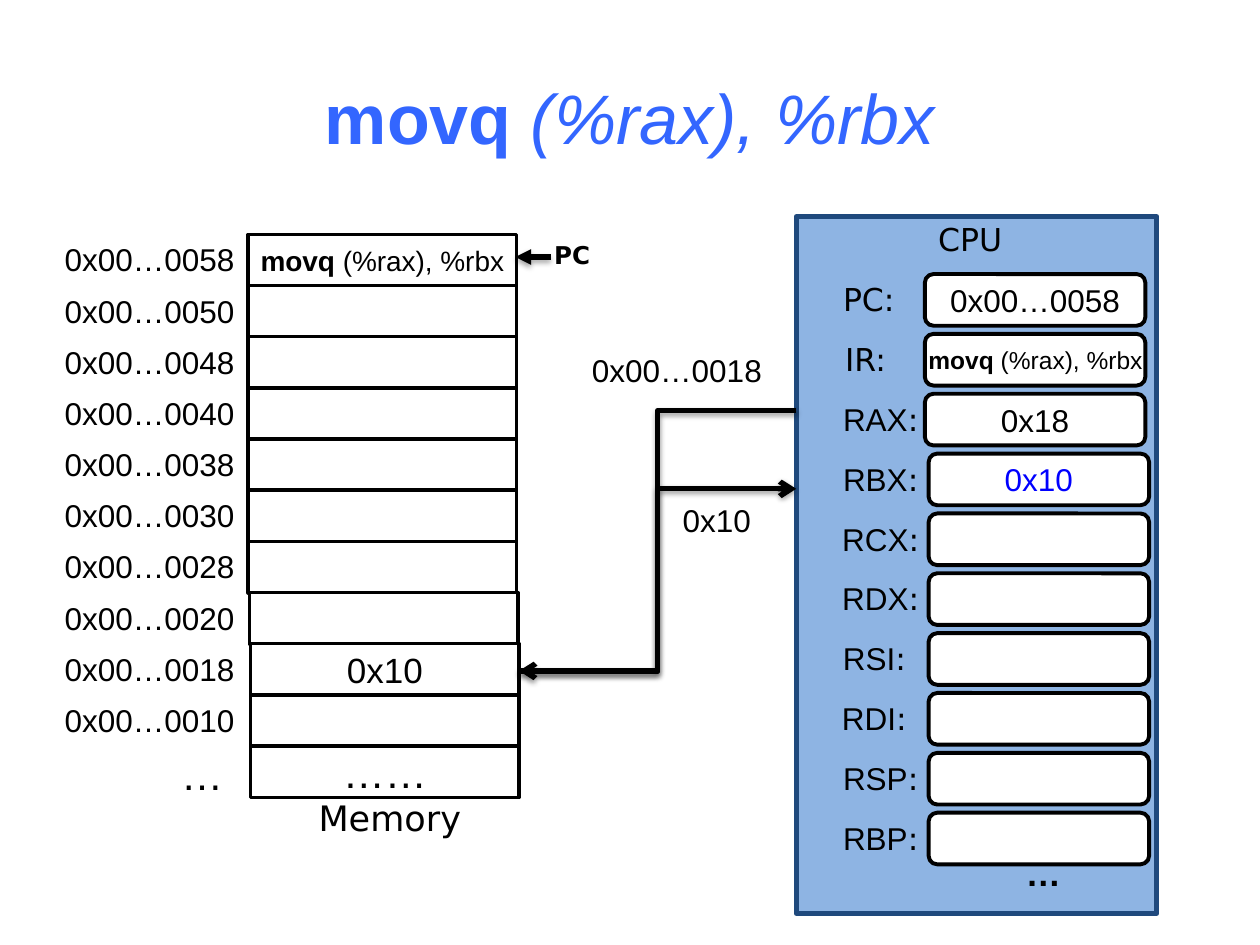
from dataclasses import dataclass

from lxml.etree import SubElement
from pptx import Presentation
from pptx.dml.color import RGBColor
from pptx.enum.shapes import MSO_CONNECTOR, MSO_SHAPE
from pptx.enum.text import MSO_ANCHOR, MSO_AUTO_SIZE, PP_ALIGN
from pptx.oxml.ns import qn
from pptx.util import Inches, Pt

COLORS = {
    "title": "3366FF",
    "ink": "000000",
    "changed": "0000FF",
    "cell": "FFFFFF",
    "cpu": "8EB4E3",
    "cpu_edge": "1F497D",
}
SLIDE_WIDTH, SLIDE_HEIGHT = Inches(10), Inches(7.5)
COLUMN, ROW = SLIDE_WIDTH / 100, SLIDE_HEIGHT / 75
MEMORY_TOP, MEMORY_PITCH = 18.6, 4.06
REGISTER_TOP, REGISTER_PITCH = 21.75, 4.75
CELL_HEIGHT = 4.1
LABEL_HEIGHT = 4
LEFT, CENTER, RIGHT = PP_ALIGN.LEFT, PP_ALIGN.CENTER, PP_ALIGN.RIGHT


@dataclass(frozen=True)
class Area:
    left: float
    top: float
    width: float
    height: float

    def emu(self) -> tuple[int, int, int, int]:
        return (round(self.left * COLUMN), round(self.top * ROW),
                round(self.width * COLUMN), round(self.height * ROW))


@dataclass(frozen=True)
class Words:
    text: str
    size: float = 18
    face: str = "Arial"
    bold: bool = False
    italic: bool = False
    color: str = "ink"


@dataclass(frozen=True)
class Register:
    label: tuple[Words, ...]
    label_width: float
    box_left: float = 73.7
    value: tuple[Words, ...] = ()


@dataclass(frozen=True)
class Wire:
    kind: MSO_CONNECTOR
    start: tuple[float, float]
    finish: tuple[float, float]
    arrow_end: str
    arrow: str
    opacity: int
    distance: float


def rgb(name: str) -> RGBColor:
    return RGBColor.from_string(COLORS[name])


def write(frame, words: tuple[Words, ...], align: PP_ALIGN, layout: dict) -> None:
    for attribute, value in layout.items():
        setattr(frame, attribute, value)
    paragraph = frame.paragraphs[0]
    paragraph.alignment = align
    for part in words:
        run = paragraph.add_run()
        run.text = part.text
        style = {"size": Pt(part.size), "name": part.face,
                 "bold": part.bold, "italic": part.italic}
        for attribute, value in style.items():
            setattr(run.font, attribute, value)
        run.font.color.rgb = rgb(part.color)


def draw_label(slide, area: Area, *words: Words, align: PP_ALIGN = LEFT) -> None:
    frame = slide.shapes.add_textbox(*area.emu()).text_frame
    write(frame, words, align, {"word_wrap": False,
                                "auto_size": MSO_AUTO_SIZE.SHAPE_TO_FIT_TEXT})


def draw_cell(slide, area: Area, words: tuple[Words, ...] = (), shape=MSO_SHAPE.RECTANGLE,
              weight: float = 2, fill: str = "cell", edge: str = "ink") -> None:
    cell = slide.shapes.add_shape(shape, *area.emu())
    cell.shadow.inherit = False
    cell.fill.solid()
    cell.fill.fore_color.rgb = rgb(fill)
    cell.line.color.rgb = rgb(edge)
    cell.line.width = Pt(weight)
    if words:
        write(cell.text_frame, words, CENTER,
              {"word_wrap": False, "vertical_anchor": MSO_ANCHOR.MIDDLE})


def draw_wire(slide, wire: Wire) -> None:
    (x1, y1), (x2, y2) = wire.start, wire.finish
    connector = slide.shapes.add_connector(
        wire.kind, round(x1 * COLUMN), round(y1 * ROW), round(x2 * COLUMN), round(y2 * ROW))
    connector.line.color.rgb = rgb("ink")
    connector.line.width = Pt(3)
    properties = connector._element.spPr
    SubElement(properties.find(qn("a:ln")), qn(f"a:{wire.arrow_end}"), type=wire.arrow)
    effects = SubElement(properties, qn("a:effectLst"))
    shadow = SubElement(effects, qn("a:outerShdw"), blurRad=str(Pt(3.1)),
                        dist=str(Pt(wire.distance)), dir="5400000", rotWithShape="0")
    tint = SubElement(shadow, qn("a:srgbClr"), val=COLORS["ink"])
    SubElement(tint, qn("a:alpha"), val=str(wire.opacity * 1000))


def instruction(size: float) -> tuple[Words, ...]:
    return Words("movq", size, bold=True), Words(" (%rax), %rbx", size)


def general(name: str, width: float = 8.4, **details) -> Register:
    return Register((Words(name), Words(":", face="DejaVu Sans")), width, **details)


def special(name: str, width: float, **details) -> Register:
    return Register((Words(name, face="DejaVu Sans"),), width, box_left=73.4, **details)


ADDRESSES = [f"0x00…00{value:02x}" for value in range(0x58, 0x08, -8)]
CONTENTS = {0: instruction(16), 8: (Words("0x10", 20),), 10: (Words("……", 24),)}
REGISTERS = [
    special("PC:", 6.5, value=(Words("0x00…0058"),)),
    special("IR:", 6),
    general("RAX", box_left=73.4, value=(Words("0x18"),)),
    general("RBX", value=(Words("0x10", color="changed"),)),
    general("RCX"),
    general("RDX"),
    general("RSI", 7.4),
    general("RDI", 7.4),
    general("RSP"),
    general("RBP"),
]
WIRES = [
    Wire(MSO_CONNECTOR.ELBOW, (63.2, 32.6), (41.2, 53.25), "tailEnd", "arrow", 38, 1.6),
    Wire(MSO_CONNECTOR.ELBOW, (63.2, 38.8), (41.2, 53.25), "headEnd", "arrow", 38, 1.6),
    Wire(MSO_CONNECTOR.STRAIGHT, (43.7, 20.4), (40.9, 20.4), "tailEnd", "triangle", 35, 1.8),
]


def draw_memory(slide) -> None:
    for index in range(len(ADDRESSES) + 1):
        top = MEMORY_TOP + index * MEMORY_PITCH
        left = 19.7 + 0.1 * min(max(index - 6, 0), 2)
        draw_cell(slide, Area(left, top, 21.3, CELL_HEIGHT), CONTENTS.get(index, ()))
    for index, address in enumerate(ADDRESSES):
        top = MEMORY_TOP + index * MEMORY_PITCH
        draw_label(slide, Area(4, top, 15.6, LABEL_HEIGHT), Words(address), align=RIGHT)
    draw_label(slide, Area(13.3, 58.9, 5.4, 5), Words("…", 24), align=RIGHT)
    draw_label(slide, Area(24.3, 62.7, 13.3, 4.4), Words("Memory", 20, "DejaVu Sans"))


def draw_cpu(slide) -> None:
    draw_cell(slide, Area(63.2, 17.2, 28.6, 55.3), weight=3, fill="cpu", edge="cpu_edge")
    draw_label(slide, Area(73.4, 17, 7.2, LABEL_HEIGHT),
               Words("CPU", face="DejaVu Sans"), align=CENTER)
    for index, register in enumerate(REGISTERS):
        top = REGISTER_TOP + index * REGISTER_PITCH
        draw_label(slide, Area(65.7, top, register.label_width, LABEL_HEIGHT),
                   *register.label, align=CENTER)
        draw_cell(slide, Area(register.box_left, top, 17.5, CELL_HEIGHT),
                  register.value, MSO_SHAPE.ROUNDED_RECTANGLE, 2.25)
    draw_label(slide, Area(72.7, 26.9, 19.1, 3.4), *instruction(14))
    draw_label(slide, Area(80.4, 67.1, 4.8, 4.4), Words("…", 20, bold=True), align=CENTER)


def main() -> None:
    deck = Presentation()
    deck.slide_width, deck.slide_height = SLIDE_WIDTH, SLIDE_HEIGHT
    slide = deck.slides.add_slide(deck.slide_layouts[6])
    title = slide.shapes.add_textbox(*Area(5, 3, 90, 12.5).emu())
    write(title.text_frame,
          (Words("movq ", 40, bold=True, color="title"),
           Words("(%rax), %rbx", 40, italic=True, color="title")),
          CENTER, {"word_wrap": True, "vertical_anchor": MSO_ANCHOR.MIDDLE})
    draw_cpu(slide)
    draw_memory(slide)
    for wire in WIRES:
        draw_wire(slide, wire)
    draw_label(slide, Area(46, 27.4, 15.6, LABEL_HEIGHT), Words("0x00…0018"))
    draw_label(slide, Area(53.2, 39.3, 7.5, LABEL_HEIGHT), Words("0x10"))
    draw_label(slide, Area(43, 18.6, 4.9, 3.4), Words("PC", 14, "DejaVu Sans", bold=True))
    deck.save("out.pptx")


if __name__ == "__main__":
    main()
